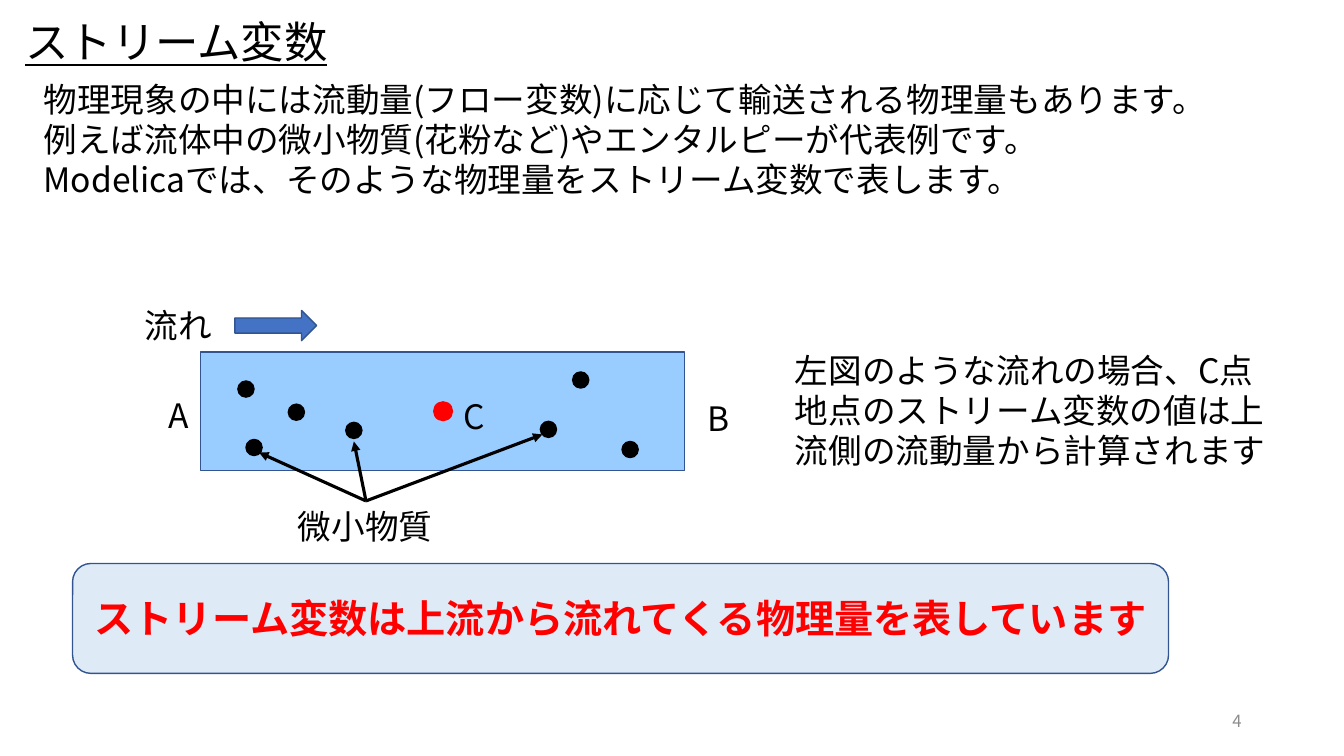
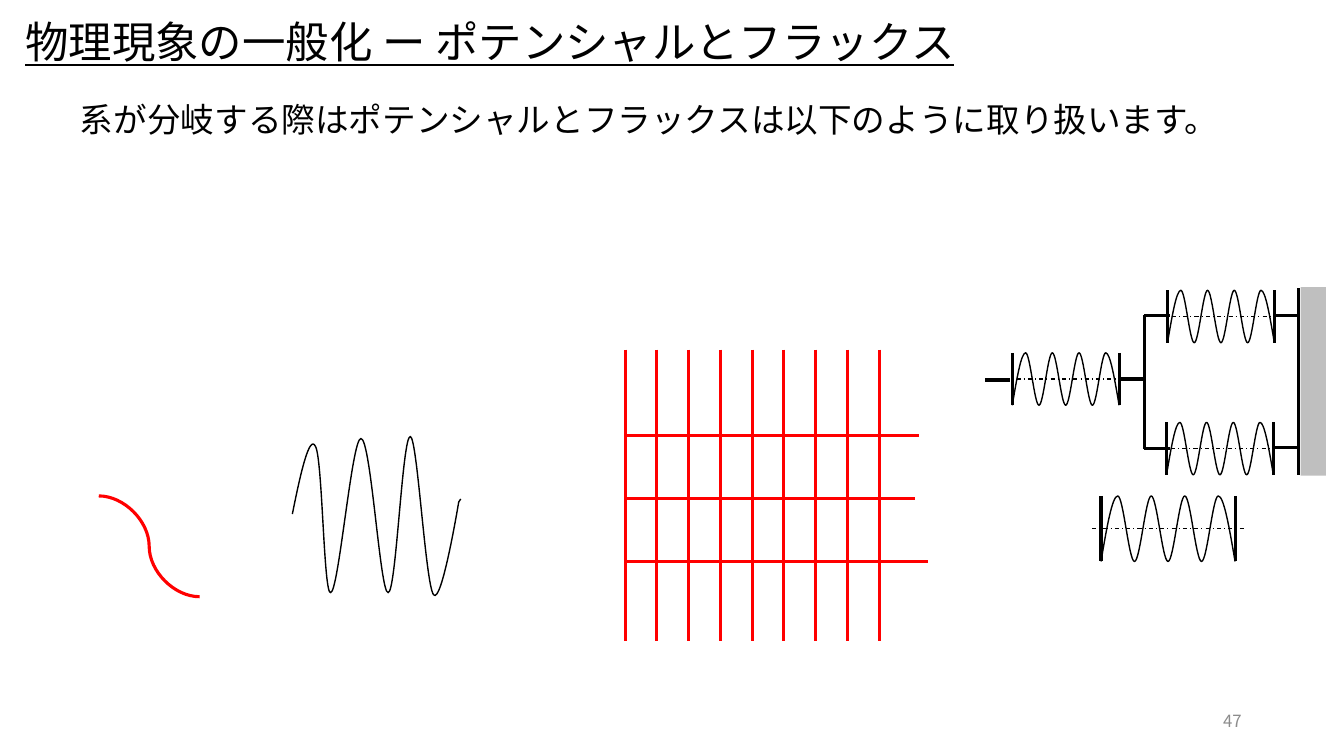
from lxml import etree
from pptx import Presentation
from pptx.dml.color import RGBColor
from pptx.enum.dml import MSO_LINE
from pptx.enum.shapes import MSO_CONNECTOR, MSO_SHAPE
from pptx.enum.text import MSO_ANCHOR, PP_ALIGN
from pptx.oxml.ns import qn
from pptx.util import Inches, Pt

RECT, ROUND = MSO_SHAPE.RECTANGLE, MSO_SHAPE.ROUNDED_RECTANGLE
OVAL, ARROW = MSO_SHAPE.OVAL, MSO_SHAPE.RIGHT_ARROW
STRAIGHT, CURVE = MSO_CONNECTOR.STRAIGHT, MSO_CONNECTOR.CURVE
DASH_DOT = MSO_LINE.DASH_DOT
TOP, MIDDLE = MSO_ANCHOR.TOP, MSO_ANCHOR.MIDDLE
LEFT, CENTER, RIGHT = PP_ALIGN.LEFT, PP_ALIGN.CENTER, PP_ALIGN.RIGHT

U = Inches(0.1)  # grid cell: the slide has 133.3 columns and 75 rows
FONT = "Noto Sans CJK JP"
BLACK, RED, BORDER = "000000", "FF0000", "325491"
TITLE = {"size": Pt(31), "underline": True}
THICK = 2.25


def put(slide, kind, at, fill=None, line=None, width=1, dash=None, head=False):
    """Add a shape, a connector (at holds its two ends) or, for kind None, a text box."""
    at = [int(v * U) for v in at]
    if kind is None:
        return slide.shapes.add_textbox(*at)
    if isinstance(kind, MSO_CONNECTOR):
        s = slide.shapes.add_connector(kind, *at)
        etree.SubElement(s._element.spPr, qn("a:effectLst"))
    else:
        s = slide.shapes.add_shape(kind, *at)
        s.shadow.inherit = False
        s.fill.solid()
        s.fill.fore_color.rgb = RGBColor.from_string(fill)
    if line is None:
        s.line.fill.background()
        return s
    s.line.color.rgb = RGBColor.from_string(line)
    s.line.width = Pt(width)
    if dash:
        s.line.dash_style = dash
    if head:
        etree.SubElement(s.line._get_or_add_ln(), qn("a:tailEnd"), type="triangle")
    return s


def write(s, *lines, color=BLACK, align=LEFT, anchor=TOP, wrap=False, **fmt):
    """Fill a shape with one paragraph per line; fmt holds font attributes."""
    fmt = {"name": FONT, "size": Pt(24), **fmt}
    tf = s.text_frame
    tf.word_wrap, tf.vertical_anchor = wrap, anchor
    for i, text in enumerate(lines):
        p = tf.add_paragraph() if i else tf.paragraphs[0]
        p.alignment = align
        p.line_spacing = Pt(fmt["size"].pt * 1.19)
        r = p.add_run()
        r.text = text
        for name, value in fmt.items():
            setattr(r.font, name, value)
        r.font.color.rgb = RGBColor.from_string(color)
        etree.SubElement(r.font._element, qn("a:ea"), typeface=FONT)
    return tf


prs = Presentation()
prs.slide_width, prs.slide_height = Inches(13.33), Inches(7.5)

# Title and page number of every slide
slides = []
for title, width, number in (
    ("ストリーム変数", 31.6, "4"),
    ("物理現象の一般化 ー ポテンシャルとフラックス", 94.4, "47"),
):
    slide = prs.slides.add_slide(prs.slide_layouts[6])
    slides.append(slide)
    tf = write(put(slide, None, (1.92, 0.95, width, 6.3)), title, anchor=MIDDLE, **TITLE)
    for side in ("left", "top", "right", "bottom"):
        setattr(tf, "margin_" + side, Inches(0.06))
    write(put(slide, None, (94.15, 69.5, 30, 4)), number, color="8C8C8C",
          align=RIGHT, anchor=MIDDLE, wrap=True, size=Pt(12))
stream, branching = slides

# Stream variables: explanation, pipe and conclusion
write(put(stream, None, (3.35, 7.4, 119.1, 13.1)),
      "物理現象の中には流動量(フロー変数)に応じて輸送される物理量もあります。",
      "例えば流体中の微小物質(花粉など)やエンタルピーが代表例です。",
      "Modelicaでは、そのような物理量をストリーム変数で表します。")
write(put(stream, None, (77.85, 34.3, 49.6, 13.1)),
      "左図のような流れの場合、C点地点のストリーム変数の値は上流側の流動量から計算されます",
      wrap=True)

put(stream, RECT, (19.9, 34.9, 48, 11.8), "99CCFF", BORDER)
put(stream, OVAL, (42.95, 39.8, 2, 2), RED)
put(stream, ARROW, (23.3, 30.8, 8.1, 3), "4472C4", BORDER)
for text, at in (
    ("A", (15.75, 38.7, 3, 3.5)),
    ("B", (69.2, 39, 3, 3.5)),
    ("C", (45, 38.8, 3.3, 3.9)),
    ("流れ", (13.35, 29.8, 8.8, 5)),
):
    write(put(stream, None, at), text)

conclusion = put(stream, ROUND, (7.2, 55.9, 108.7, 10.9), "DEEBF7", BORDER)
write(conclusion, "ストリーム変数は上流から流れてくる物理量を表しています",
      color=RED, align=CENTER, anchor=MIDDLE, wrap=True, size=Pt(28), bold=True)

for x, y in ((23.6, 37.8), (28.6, 40.1), (24.4, 43.6), (34.3, 41.9),
             (53.6, 41.8), (56.8, 36.9), (61.7, 43.8)):
    put(stream, OVAL, (x, y, 1.6, 1.6), BLACK, BLACK)
particles = put(stream, None, (28.55, 49.7, 15.5, 5))
write(particles, "微小物質")
for tip in ((25.7, 44.9), (35.1, 43.8), (53.8, 43.1)):
    pointer = put(stream, STRAIGHT, (36.3, 49.7, *tip), None, BLACK, THICK, head=True)
    pointer.begin_connect(particles, 0)

# Branching: text, S-curve and grid
write(put(branching, None, (6.95, 9.4, 124.5, 5)),
      "系が分岐する際はポテンシャルとフラックスは以下のように取り扱います。", wrap=True)
put(branching, CURVE, (9.8, 49.2, 19.8, 59.2), None, RED, THICK)
for i, end in enumerate((91.2, 90.8, 92)):
    y = 43.2 + 6.25 * i
    put(branching, STRAIGHT, (62, y, end, y), None, RED, THICK)
for i in range(9):
    x = 62 + 3.15 * i
    put(branching, STRAIGHT, (x, 34.7, x, 63.6), None, RED, THICK)

# Curves: a start, three points for each Bezier segment, then any straight ends
curves = [[
    (29, 51),
    (29.8, 47), (30.7, 43), (31.3, 44.3),
    (32, 45.6), (32.1, 59), (32.8, 58.8),
    (33.6, 58.7), (34.9, 43.5), (35.8, 43.5),
    (36.8, 43.5), (37.7, 58.9), (38.5, 58.8),
    (39.3, 58.8), (39.9, 43.3), (40.7, 43.3),
    (41.4, 43.4), (42.2, 57.9), (43, 59),
    (43.8, 60.1), (45.5, 49.8), (45.5, 49.8),
    (45.7, 49.5),
]]

# Springs: four coils between two posts on a dash-dot axis
for x, y, w, h in ((109.2, 49.2, 13.3, 6.5), (115.8, 28.8, 10.6, 5.2),
                   (115.7, 41.9, 10.6, 5.2), (100.4, 35, 10.6, 5.2)):
    # Points lie on 24ths of the width; slack ends meet the posts at a slant
    drops = [1, 0.5, 0] + [0, 0, 1, 1, 1, 0] * 3 + [0, 0, 0.5, 1]
    curves.append([(x + w * i / 24, y + h * drop) for i, drop in enumerate(drops)])
    for post in (x, x + w):
        put(branching, STRAIGHT, (post, y, post, y + h), None, BLACK, THICK)
    axis, over = y + h / 2, w / 15
    put(branching, STRAIGHT, (x - over, axis, x + w + over, axis),
        None, BLACK, 0.75, DASH_DOT)

for points in curves:
    points = [(int(x * U), int(y * U)) for x, y in points]
    builder = branching.shapes.build_freeform(*points[0])
    builder.add_line_segments(points[1:], close=False)
    s = builder.convert_to_shape()
    s.shadow.inherit = False
    s.fill.background()
    s.line.color.rgb = RGBColor.from_string(BLACK)
    s.line.width = Pt(1)
    steps = list(s._element.iter(qn("a:lnTo")))
    for i in range(0, len(steps) - 2, 3):
        first, *others = steps[i:i + 3]
        first.tag = qn("a:cubicBezTo")
        for step in others:
            first.append(step[0])
            step.getparent().remove(step)

# Rods joining the springs to the wall
for rod in (
    (113.5, 31.3, 113.5, 44.5),
    (111, 37.6, 113.5, 37.6),
    (113.5, 31.3, 116, 31.3),
    (113.5, 44.5, 116, 44.5),
    (97.7, 37.7, 100.2, 37.7),
    (126.3, 31.3, 128.8, 31.3),
    (126.3, 44.4, 128.8, 44.4),
    (128.8, 28.6, 128.8, 47.1),
):
    put(branching, STRAIGHT, rod, None, BLACK, THICK)
put(branching, RECT, (129, 28.5, 2.5, 18.7), "BFBFBF")

prs.save("out.pptx")
